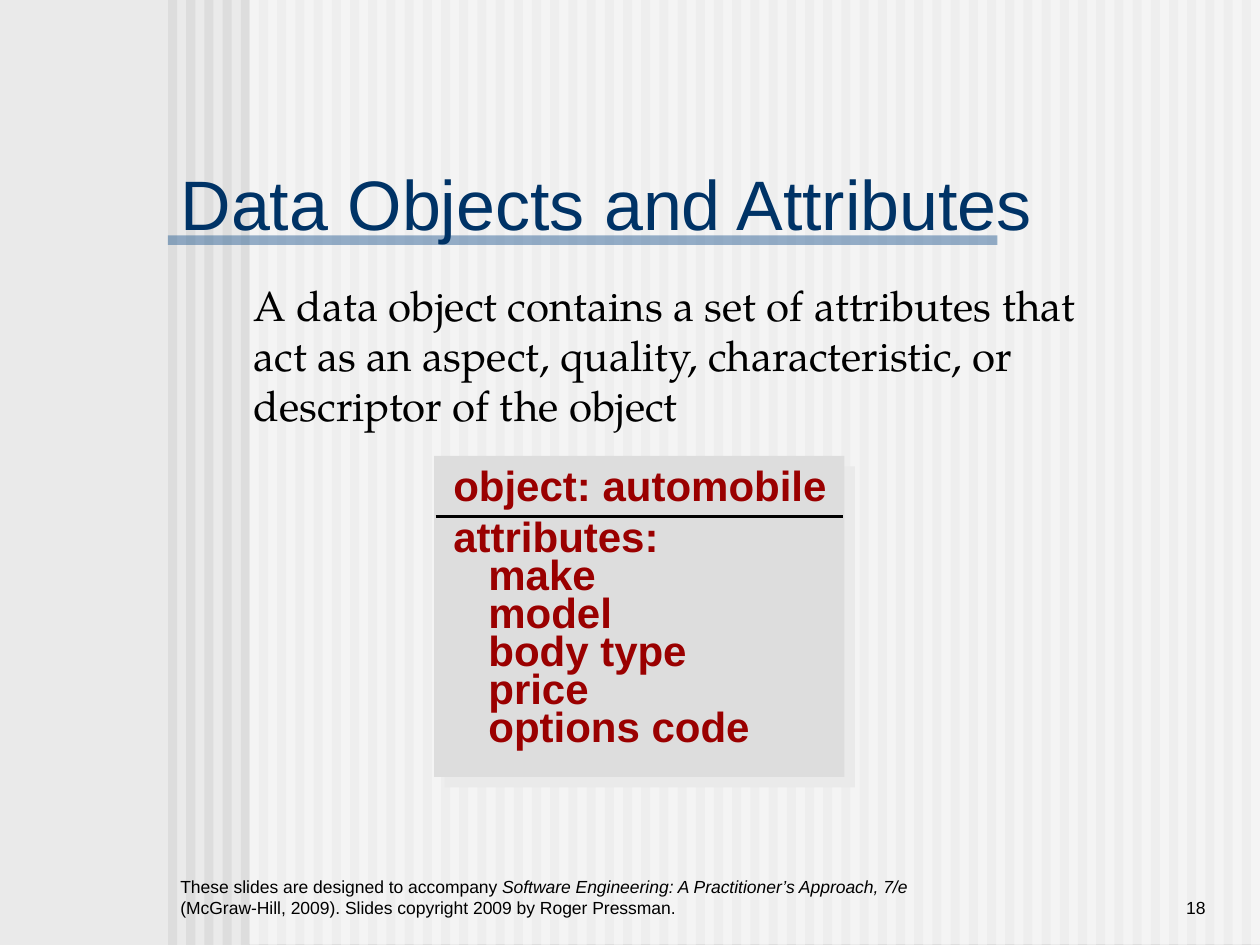
from dataclasses import dataclass
from typing import Optional

from lxml.etree import SubElement
from pptx import Presentation
from pptx.dml.color import RGBColor
from pptx.enum.shapes import MSO_CONNECTOR as Connector, MSO_SHAPE as Shape
from pptx.enum.text import MSO_ANCHOR as Anchor, MSO_AUTO_SIZE as AutoSize, PP_ALIGN as Align
from pptx.oxml.ns import qn
from pptx.util import Pt

PAPER = RGBColor(0xEA, 0xEA, 0xEA)
GREY = RGBColor(0xDD, 0xDD, 0xDD)
WHITE = RGBColor(0xFF, 0xFF, 0xFF)
BLACK = RGBColor(0, 0, 0)
RULE_BLUE = RGBColor(0x33, 0x66, 0x99)
TITLE_BLUE = RGBColor(0, 0x33, 0x66)
DARK_RED = RGBColor(0x9A, 0, 0)

SLIDE_WIDTH, SLIDE_HEIGHT = 720, 540
STRIPE_COUNT, STRIPE_LEFT, STRIPE_PITCH = 60, 96, 10.4


@dataclass(frozen=True)
class Box:
    left: float
    top: float
    width: float
    height: float

    def lengths(self) -> tuple:
        return Pt(self.left), Pt(self.top), Pt(self.width), Pt(self.height)


@dataclass(frozen=True)
class Line:
    text: str
    italic_tail: str = ""
    closing: str = ""
    indent: float = 0
    spacing: Optional[float] = None


def add_panel(shapes, box: Box, color: RGBColor, opacity: int = 100):
    panel = shapes.add_shape(Shape.RECTANGLE, *box.lengths())
    panel.shadow.inherit = False
    panel.fill.solid()
    panel.fill.fore_color.rgb = color
    panel.line.fill.background()
    if opacity < 100:
        srgb = panel.fill._xPr.find(qn("a:solidFill")).find(qn("a:srgbClr"))
        SubElement(srgb, qn("a:alpha"), val=str(opacity * 1000))
    return panel


def add_drop_shadow(panel, color: RGBColor, distance: float, degrees: int) -> None:
    effects = panel.element.spPr.find(qn("a:effectLst"))
    shadow = SubElement(effects, qn("a:outerShdw"), blurRad="0", dist=str(Pt(distance)),
                        dir=str(degrees * 60000), algn="ctr", rotWithShape="0")
    SubElement(shadow, qn("a:srgbClr"), val=str(color))


def write_text(holder, lines: list[Line], *, size: float, color: RGBColor,
               font: str = "Arial", bold: bool = False, align=Align.LEFT,
               anchor=Anchor.TOP, wrap: bool = True, fit=AutoSize.NONE) -> None:
    frame = holder.text_frame
    frame.word_wrap = wrap
    frame.auto_size = fit
    frame.vertical_anchor = anchor
    for index, line in enumerate(lines):
        paragraph = frame.add_paragraph() if index else frame.paragraphs[0]
        paragraph.alignment = align
        if line.spacing:
            paragraph.line_spacing = line.spacing
        if line.indent:
            paragraph._p.get_or_add_pPr().set("marL", str(Pt(line.indent)))
        for words, italic in ((line.text, False), (line.italic_tail, True), (line.closing, False)):
            if words:
                run = paragraph.add_run()
                run.text = words
                run.font.name = font
                run.font.size = Pt(size)
                run.font.bold = bold
                run.font.italic = italic
                run.font.color.rgb = color


def add_text(shapes, box: Box, lines: list[Line], **text_format) -> None:
    write_text(shapes.add_textbox(*box.lengths()), lines, **text_format)


def add_rule(shapes, left: float, right: float, y: float, color: RGBColor, width: float) -> None:
    rule = shapes.add_connector(Connector.STRAIGHT, Pt(left), Pt(y), Pt(right), Pt(y))
    rule.line.color.rgb = color
    rule.line.width = Pt(width)
    SubElement(rule.element.spPr, qn("a:effectLst"))


def draw_backdrop(slide) -> None:
    slide.background.fill.solid()
    slide.background.fill.fore_color.rgb = PAPER
    for index in range(STRIPE_COUNT):
        stripe = Box(STRIPE_LEFT + index * STRIPE_PITCH, 0, STRIPE_PITCH / 2, SLIDE_HEIGHT)
        add_panel(slide.shapes, stripe, GREY)
    add_panel(slide.shapes, Box(142.5, -0.5, 577.5, SLIDE_HEIGHT), WHITE, opacity=50)
    add_panel(slide.shapes, Box(96, 134.5, 474, 5.5), RULE_BLUE, opacity=50)


def draw_object_card(shapes) -> None:
    card = add_panel(shapes, Box(248, 260.5, 234.5, 183.5), GREY)
    add_drop_shadow(card, PAPER, distance=8.5, degrees=45)
    attributes = ["make", "model", "body type", "price", "options code"]
    lines = [Line("object: automobile"), Line("attributes:")]
    lines += [Line(attribute, indent=20, spacing=0.75) for attribute in attributes]
    add_text(shapes, Box(252, 259.2, 227.5, 172.8), lines, size=24, color=DARK_RED,
             bold=True, wrap=False, fit=AutoSize.SHAPE_TO_FIT_TEXT)
    add_rule(shapes, 249, 482, 295.2, BLACK, 2)


def main() -> None:
    deck = Presentation()
    deck.slide_width, deck.slide_height = Pt(SLIDE_WIDTH), Pt(SLIDE_HEIGHT)
    slide = deck.slides.add_slide(deck.slide_layouts.get_by_name("Title Only"))
    shapes = slide.shapes
    draw_backdrop(slide)

    credit = Line("These slides are designed to accompany ",
                  "Software Engineering: A Practitioner’s Approach, 7/e ",
                  "(McGraw-Hill, 2009). Slides copyright 2009 by Roger Pressman.")
    add_text(shapes, Box(96, 492, 432, 36), [credit], size=10, color=BLACK, anchor=Anchor.BOTTOM)
    add_text(shapes, Box(594, 492, 102, 36), [Line("18")], size=10, color=BLACK,
             align=Align.RIGHT, anchor=Anchor.BOTTOM)

    title = shapes.title
    title.left, title.top, title.width, title.height = Box(96, 90, 510, 52).lengths()
    write_text(title, [Line("Data Objects and Attributes")], size=40, color=TITLE_BLUE,
               anchor=Anchor.MIDDLE)
    title.element.getparent().append(title.element)

    definition = Line("A data object contains a set of attributes that act as an aspect, "
                      "quality, characteristic, or descriptor of the object")
    add_text(shapes, Box(138, 156, 499, 93.6), [definition], size=24, color=BLACK,
             font="TeX Gyre Pagella", fit=AutoSize.SHAPE_TO_FIT_TEXT)
    draw_object_card(shapes)
    deck.save("out.pptx")


if __name__ == "__main__":
    main()
